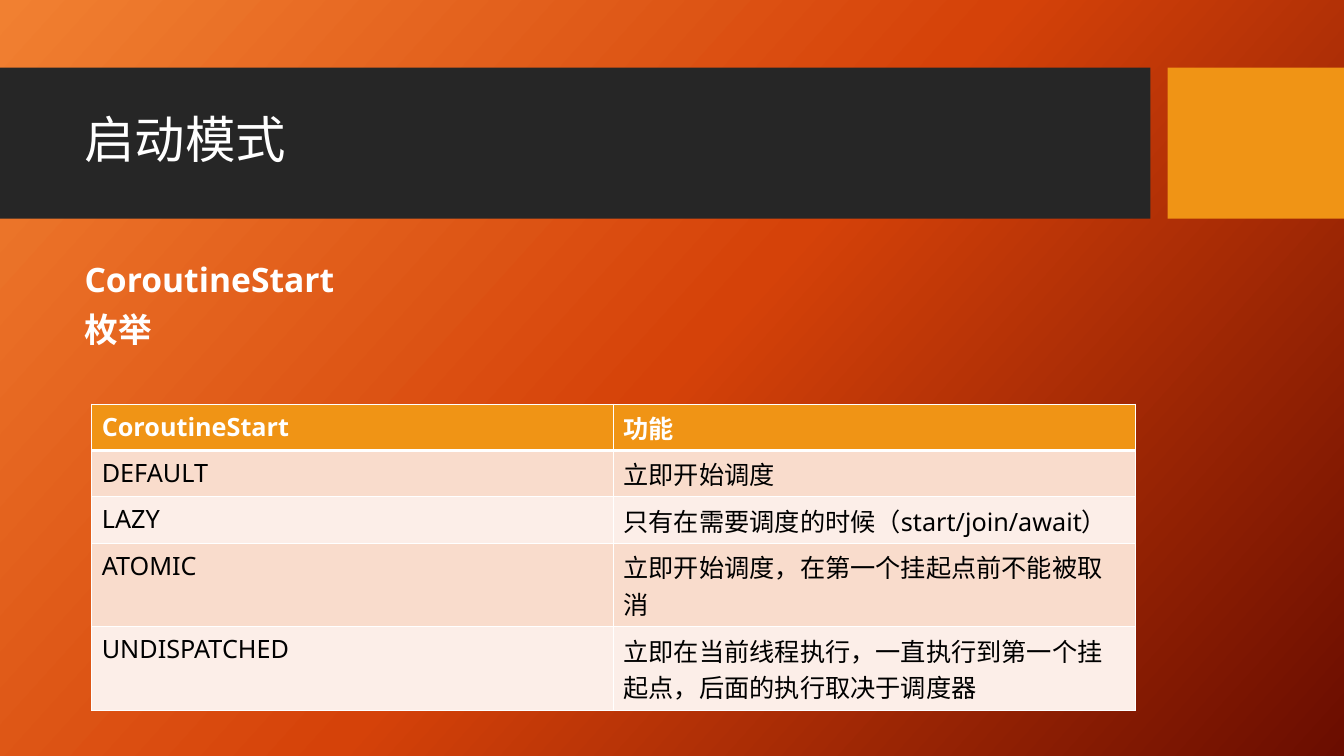
import copy
from dataclasses import dataclass

import pptx
import pptx.dml.color
import pptx.enum.shapes
import pptx.enum.text
import pptx.oxml
import pptx.oxml.ns
import pptx.util

Inches = pptx.util.Inches
Pt = pptx.util.Pt


@dataclass(frozen=True)
class Theme:
    font: str = "Noto Sans"
    white: str = "FFFFFF"
    black: str = "000000"
    banner: str = "262626"
    accent: str = "F09415"
    bands: tuple = ("F9DCCC", "FCEEE8")
    backdrop: tuple = ((0, "F18031"), (0.5, "D54209"), (1, "6A0D00"))
    backdrop_angle: int = 42
    title_size: int = 36
    body_size: int = 24
    table_size: int = 18
    grid_line: int = 1
    header_line: int = 3


THEME = Theme()

START_MODES = (
    ("CoroutineStart", "功能"),
    ("DEFAULT", "立即开始调度"),
    ("LAZY", "只有在需要调度的时候（start/join/await）"),
    ("ATOMIC", "立即开始调度，在第一个挂起点前不能被取消"),
    ("UNDISPATCHED", "立即在当前线程执行，一直执行到第一个挂起点，后面的执行取决于调度器"),
)
ROW_HEIGHTS = (0.46, 0.46, 0.46, 0.83, 0.83)


def rgb(color):
    return pptx.dml.color.RGBColor.from_string(color)


def paint_backdrop(slide):
    fill = slide.background.fill
    fill.gradient()
    fill.gradient_angle = 360 - THEME.backdrop_angle
    stops = slide.element.find(".//" + pptx.oxml.ns.qn("a:gsLst"))
    stops.append(copy.deepcopy(stops[0]))
    for stop, (position, color) in zip(fill.gradient_stops, THEME.backdrop):
        stop.position = position
        stop.color.rgb = rgb(color)


def add_block(slide, left, width, color):
    block = slide.shapes.add_shape(
        pptx.enum.shapes.MSO_SHAPE.RECTANGLE,
        Inches(left), Inches(0.67), Inches(width), Inches(1.5))
    block.shadow.inherit = False
    block.fill.solid()
    block.fill.fore_color.rgb = rgb(color)
    block.line.fill.background()


def add_run(paragraph, text, size, color, bold=False):
    run = paragraph.add_run()
    run.text = text
    run.font.name = THEME.font
    run.font.size = Pt(size)
    run.font.bold = bold
    run.font.color.rgb = rgb(color)


def add_text(slide, top, height, lines, size, anchor, bold=False, space_before=0):
    frame = slide.shapes.add_textbox(
        Inches(0.74), Inches(top), Inches(10.51), Inches(height)).text_frame
    frame.word_wrap = True
    frame.vertical_anchor = anchor
    for index, line in enumerate(lines):
        paragraph = frame.add_paragraph() if index else frame.paragraphs[0]
        paragraph.line_spacing = 0.9
        paragraph.space_before = Pt(space_before)
        add_run(paragraph, line, size, THEME.white, bold)


def set_border(cell, side, width):
    border = pptx.oxml.parse_xml(
        f'<a:{side} {pptx.oxml.ns.nsdecls("a")} w="{Pt(width)}">'
        f'<a:solidFill><a:srgbClr val="{THEME.white}"/></a:solidFill></a:{side}>')
    properties = cell._tc.get_or_add_tcPr()
    fill = properties.find(pptx.oxml.ns.qn("a:solidFill"))
    fill.addprevious(border)


def fill_cell(cell, text, row):
    header = row == 0
    cell.fill.solid()
    cell.fill.fore_color.rgb = rgb(
        THEME.accent if header else THEME.bands[(row - 1) % 2])
    add_run(cell.text_frame.paragraphs[0], text, THEME.table_size,
            THEME.white if header else THEME.black, header)
    for side in ("lnL", "lnR", "lnT", "lnB"):
        header_edge = (row, side) in ((0, "lnB"), (1, "lnT"))
        set_border(cell, side, THEME.header_line if header_edge else THEME.grid_line)


def add_mode_table(slide):
    modes = slide.shapes.add_table(
        len(START_MODES), 2, Inches(0.91), Inches(4.01),
        Inches(10.35), Inches(sum(ROW_HEIGHTS))).table
    for row, (texts, height) in enumerate(zip(START_MODES, ROW_HEIGHTS)):
        modes.rows[row].height = Inches(height)
        for column, text in enumerate(texts):
            fill_cell(modes.cell(row, column), text, row)


def main():
    deck = pptx.Presentation()
    deck.slide_width = Inches(13.33)
    deck.slide_height = Inches(7.5)
    slide = deck.slides.add_slide(deck.slide_layouts[6])
    anchors = pptx.enum.text.MSO_ANCHOR

    paint_backdrop(slide)
    add_block(slide, 0, 11.41, THEME.banner)
    add_block(slide, 11.58, 1.75, THEME.accent)
    add_text(slide, 0.82, 1.18, ["启动模式"], THEME.title_size, anchors.MIDDLE)
    add_text(slide, 2.56, 1.2, ["CoroutineStart", "枚举"], THEME.body_size,
             anchors.TOP, bold=True, space_before=10)
    add_mode_table(slide)
    deck.save("out.pptx")


if __name__ == "__main__":
    main()
